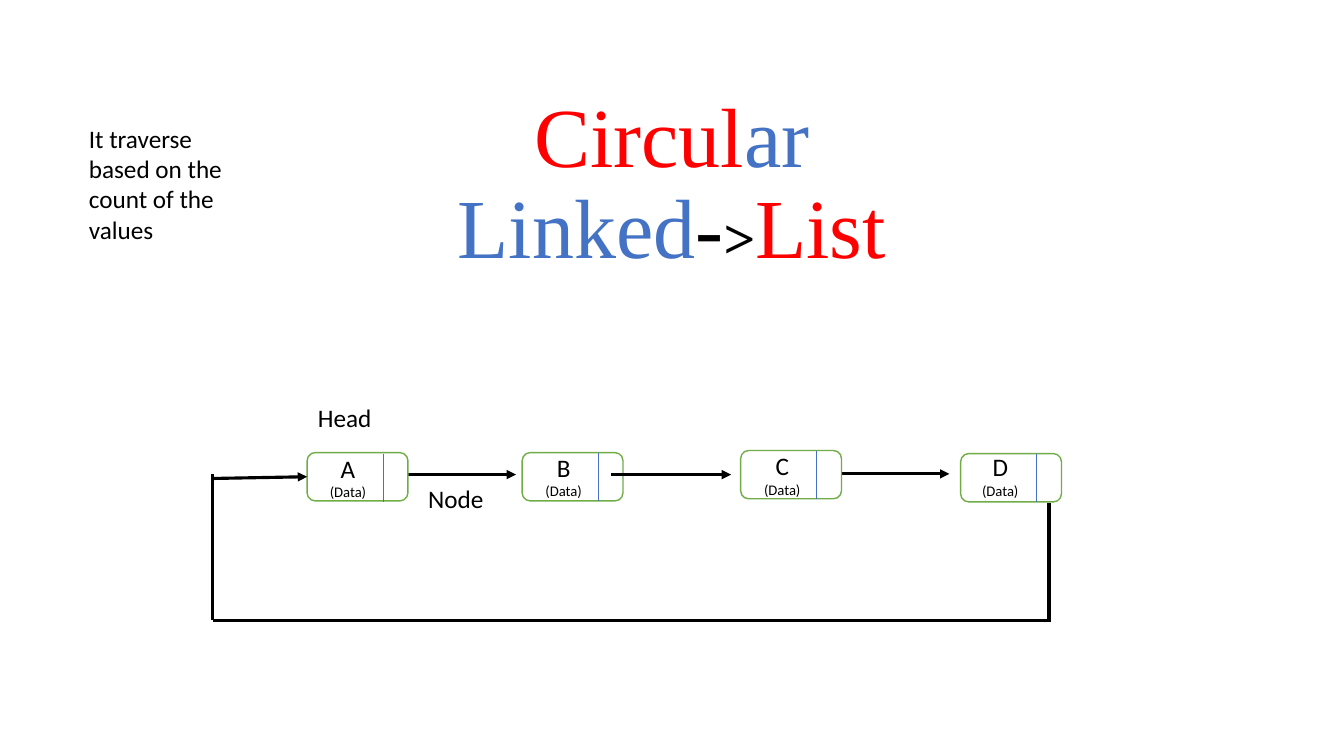
from dataclasses import dataclass

from lxml import etree
from pptx import Presentation
from pptx import util as u
from pptx.dml.color import RGBColor
from pptx.enum import shapes, text
from pptx.oxml import ns


@dataclass(frozen=True)
class Theme:
    black: RGBColor = RGBColor.from_string("000000")
    white: RGBColor = RGBColor.from_string("FFFFFF")
    red: RGBColor = RGBColor.from_string("FF0000")
    blue: RGBColor = RGBColor.from_string("4472C4")
    green: RGBColor = RGBColor.from_string("70AD47")
    title_font: str = "Times New Roman"
    body_font: str = "Calibri"
    title_size: float = 60
    pointer_size: float = 40
    body_size: float = 18
    data_size: float = 10.5
    link_width: float = 2.25
    outline_width: float = 1
    divider_width: float = 0.5


@dataclass(frozen=True)
class Box:
    left: float
    top: float
    width: float
    height: float


@dataclass(frozen=True)
class Node:
    name: str
    left: float
    top: float
    label_left: float
    label_top: float
    divider_shift: float = 0


@dataclass(frozen=True)
class Link:
    x1: float
    y1: float
    x2: float
    y2: float
    arrow: bool = False


@dataclass(frozen=True)
class Caption:
    words: str
    box: Box
    wrap: bool = True


@dataclass(frozen=True)
class TitleRun:
    words: str
    color: RGBColor
    size: float
    bold: bool = False
    starts_line: bool = False


THEME = Theme()
NODE_WIDTH, NODE_HEIGHT, DIVIDER_OFFSET = 72, 34.5, 54.2
LABEL_WIDTH, LABEL_HEIGHT = 43.2, 41.8

TITLE_BOX = Box(120, 13, 720, 188)
TITLE_RUNS = [
    TitleRun("Circul", THEME.red, THEME.title_size),
    TitleRun("ar", THEME.blue, THEME.title_size),
    TitleRun("Linked", THEME.blue, THEME.title_size, starts_line=True),
    TitleRun("-", THEME.black, THEME.title_size),
    TitleRun(">", THEME.black, THEME.pointer_size, bold=True),
    TitleRun("List", THEME.red, THEME.title_size),
]
NODE_A = Node("A", 219.4, 323.3, 227, 319.9, 1)
NODE_B = Node("B", 373, 323.3, 381, 319.2)
NODE_C = Node("C", 529.1, 321.8, 537.2, 318.1)
NODE_D = Node("D", 686.2, 324, 692.9, 318.8)
NEXT_LINKS = [
    Link(283, 339, 368.6, 339, True),
    Link(436.4, 339, 522.2, 339, True),
    Link(592.5, 338.5, 678.2, 338.5, True),
]
RETURN_LINKS = [
    Link(151.8, 443, 750.5, 443),
    Link(749.3, 359.5, 749.3, 443),
    Link(151.8, 338.5, 151.8, 443),
]
HEAD_LINK = Link(151.8, 341.8, 219.4, 340.55, True)
CAPTIONS = [
    Caption("Head", Box(220, 283.6, 53.5, 29), wrap=False),
    Caption("Node", Box(298.7, 342, 59, 29)),
    Caption("It traverse based on the count of the values", Box(56.4, 84.5, 128, 94.5)),
]


def add_text_box(parent, box: Box, wrap: bool = True):
    """Add an empty text box and return its text frame."""
    shape = parent.add_textbox(*map(u.Pt, (box.left, box.top, box.width, box.height)))
    shape.text_frame.word_wrap = wrap
    return shape.text_frame


def style_run(run, font: str, size: float, color: RGBColor, bold: bool = False) -> None:
    """Apply font, size, colour and weight to a run."""
    run.font.name = font
    run.font.size = u.Pt(size)
    run.font.color.rgb = color
    run.font.bold = bold


def add_title(parent) -> None:
    """Add the multicoloured two-line title."""
    frame = add_text_box(parent, TITLE_BOX)
    frame.vertical_anchor = text.MSO_ANCHOR.BOTTOM
    paragraph = frame.paragraphs[0]
    paragraph.alignment = text.PP_ALIGN.CENTER
    paragraph.line_spacing = 0.9
    for part in TITLE_RUNS:
        if part.starts_line:
            paragraph.add_line_break()
        run = paragraph.add_run()
        run.text = part.words
        style_run(run, THEME.title_font, part.size, part.color, part.bold)


def add_caption(parent, caption: Caption) -> None:
    """Add a plain caption."""
    frame = add_text_box(parent, caption.box, caption.wrap)
    frame.text = caption.words
    style_run(frame.paragraphs[0].runs[0], THEME.body_font, THEME.body_size, THEME.black)


def add_line(parent, link: Link, color: RGBColor, width: float):
    """Add a straight line, with an arrowhead at its end if wanted."""
    connector = parent.add_connector(
        shapes.MSO_CONNECTOR.STRAIGHT, *map(u.Pt, (link.x1, link.y1, link.x2, link.y2))
    )
    connector.line.color.rgb = color
    connector.line.width = u.Pt(width)
    if link.arrow:
        line = connector.line._get_or_add_ln()
        etree.SubElement(line, ns.qn("a:tailEnd"), type="triangle")
    etree.SubElement(connector._element.spPr, ns.qn("a:effectLst"))
    return connector


def add_node(parent, node: Node):
    """Add a grouped list node and return its rounded rectangle."""
    members = parent.add_group_shape().shapes
    shape = members.add_shape(
        shapes.MSO_SHAPE.ROUNDED_RECTANGLE,
        *map(u.Pt, (node.left, node.top, NODE_WIDTH, NODE_HEIGHT)),
    )
    shape.shadow.inherit = False
    shape.fill.solid()
    shape.fill.fore_color.rgb = THEME.white
    shape.line.color.rgb = THEME.green
    shape.line.width = u.Pt(THEME.outline_width)
    x, y = node.left + DIVIDER_OFFSET, node.top + node.divider_shift
    add_line(members, Link(x, y, x, y + NODE_HEIGHT), THEME.blue, THEME.divider_width)
    frame = add_text_box(members, Box(node.label_left, node.label_top, LABEL_WIDTH, LABEL_HEIGHT))
    frame.text = f"{node.name}\n(Data)"
    for paragraph, size in zip(frame.paragraphs, (THEME.body_size, THEME.data_size)):
        paragraph.alignment = text.PP_ALIGN.CENTER
        style_run(paragraph.runs[0], THEME.body_font, size, THEME.black)
    return shape


def main() -> None:
    """Build the circular linked list slide."""
    presentation = Presentation()
    presentation.slide_width, presentation.slide_height = u.Pt(960), u.Pt(540)
    slide = presentation.slides.add_slide(presentation.slide_layouts[6])
    parent = slide.shapes
    add_title(parent)
    add_node(parent, NODE_B)
    for link in NEXT_LINKS:
        add_line(parent, link, THEME.black, THEME.link_width)
    head, *_ = [add_node(parent, node) for node in (NODE_A, NODE_C, NODE_D)]
    for link in RETURN_LINKS:
        add_line(parent, link, THEME.black, THEME.link_width)
    add_line(parent, HEAD_LINK, THEME.black, THEME.link_width).end_connect(head, 1)
    for caption in CAPTIONS:
        add_caption(parent, caption)
    presentation.save("out.pptx")


if __name__ == "__main__":
    main()
